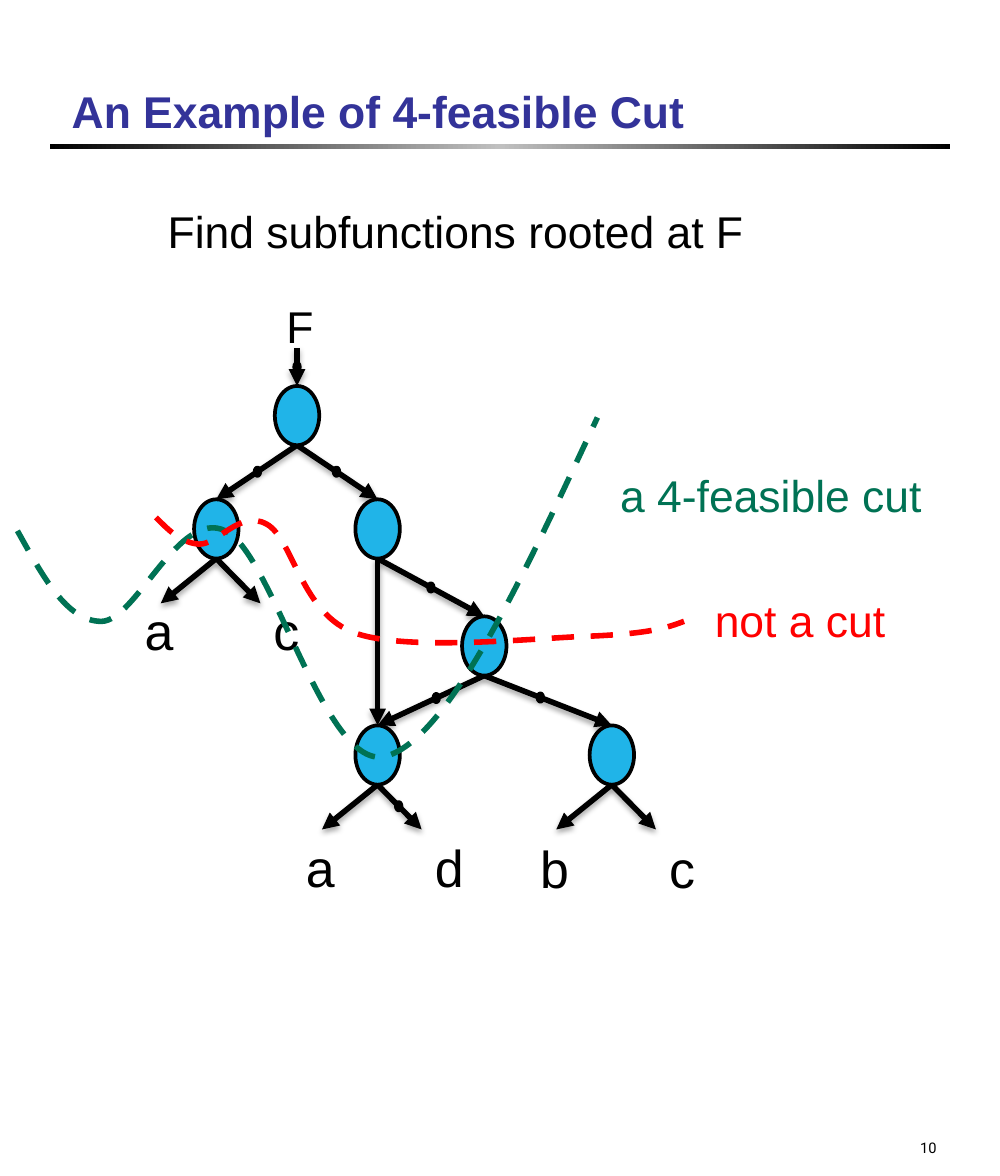
from copy import deepcopy

from lxml import etree
from pptx import Presentation
from pptx.dml.color import RGBColor
from pptx.enum.dml import MSO_LINE
from pptx.enum.shapes import MSO_CONNECTOR, MSO_SHAPE
from pptx.enum.text import MSO_ANCHOR, MSO_AUTO_SIZE, PP_ALIGN
from pptx.oxml import parse_xml
from pptx.oxml.ns import nsdecls, qn
from pptx.util import Pt

DASH = MSO_LINE.DASH
STRAIGHT = MSO_CONNECTOR.STRAIGHT
RECT, OVAL = MSO_SHAPE.RECTANGLE, MSO_SHAPE.OVAL
TOP, BOTTOM = MSO_ANCHOR.TOP, MSO_ANCHOR.BOTTOM
FIXED, GROW = MSO_AUTO_SIZE.NONE, MSO_AUTO_SIZE.SHAPE_TO_FIT_TEXT
LEFT, RIGHT = PP_ALIGN.LEFT, PP_ALIGN.RIGHT

BLACK, BLUE, GREEN, RED = "000000", "20B4E8", "007254", "FF0000"
NODE_W, NODE_H = 24, 32
DOT_W, DOT_H = 3, 4.5
SHADOW = (
    f'<a:effectLst {nsdecls("a")}><a:outerShdw blurRad="{Pt(3.1)}" dist="{Pt(1.8)}" '
    'dir="5400000" rotWithShape="0"><a:srgbClr val="000000"><a:alpha val="35000"/>'
    "</a:srgbClr></a:outerShdw></a:effectLst>"
)


def rgb(value):
    return RGBColor.from_string(value)


def write(sp, text, size=24, color=BLACK, font="Arial", bold=False,
          align=LEFT, anchor=TOP, wrap=True, fit=FIXED):
    tf = sp.text_frame
    tf.word_wrap = wrap
    tf.auto_size = fit
    tf.vertical_anchor = anchor
    tf.margin_left = tf.margin_right = Pt(7.2)
    tf.margin_top = tf.margin_bottom = Pt(3.6)
    p = tf.paragraphs[0]
    p.alignment = align
    r = p.add_run()
    r.text = text
    r.font.size = Pt(size)
    r.font.name = font
    r.font.bold = bold
    r.font.color.rgb = rgb(color)


prs = Presentation()
prs.slide_width, prs.slide_height = Pt(540), Pt(635)
s = prs.slides.add_slide(prs.slide_layouts[5])

rule = s.shapes.add_shape(RECT, Pt(27), Pt(77.8), Pt(486), Pt(2.7))
rule.shadow.inherit = False
rule.line.fill.background()
rule.fill.gradient()
rule.fill.gradient_angle = 0
stops = rule._element.spPr.find(".//" + qn("a:gsLst"))
stops.insert(1, deepcopy(stops[0]))
for stop, position, color in zip(rule.fill.gradient_stops, (0, 0.5, 1),
                                 (BLACK, "C0C0C0", BLACK)):
    stop.position = position
    stop.color.rgb = rgb(color)

title = s.shapes.title
title.left, title.top, title.width, title.height = Pt(31.5), Pt(14.4), Pt(472.3), Pt(63.4)
write(title, "An Example of 4-feasible Cut", color="333399", bold=True, anchor=BOTTOM)

number = s.shapes.add_textbox(Pt(400.3), Pt(585.4), Pt(112.5), Pt(42.5))
write(number, "10", size=7.9, font="Roboto", align=RIGHT, anchor=BOTTOM)

nodes = {
    "root": (160.4, 224.4),
    "left": (116.8, 285.6),
    "right": (203.9, 285.6),
    "inner": (261.5, 348.8),
    "low_left": (203.9, 407.7),
    "low_right": (330.4, 407.7),
}
links = [
    ("root", "left", 0.49),
    ("root", "right", 0.49),
    ("right", "inner", 0.5),
    ("right", "low_left", None),
    ("inner", "low_left", 0.45),
    ("inner", "low_right", 0.44),
]
leaves = [
    ("left", "a", "c", 319.7, None),
    ("low_left", "a", "d", 447.8, 0.48),
    ("low_right", "b", "c", 448.2, None),
]

root_x, root_y = nodes["root"]
root_top = root_y - NODE_H / 2
arrows = [(root_x, root_top - 20.5, root_x, root_top, 0.5)]
for start, end, dot in links:
    (x1, y1), (x2, y2) = nodes[start], nodes[end]
    arrows.append((x1, y1 + NODE_H / 2, x2, y2 - NODE_H / 2, dot))

labels = [
    ("Find subfunctions rooted at F", 83.5, 106.4, 328.3, 24, BLACK),
    ("F", 147.6, 157.7, 29.5, 24, BLACK),
    ("a 4-feasible cut", 327.8, 249.1, 179, 24, GREEN),
    ("not a cut", 378.9, 316.8, 159, 24, RED),
]
for name, first, second, label_y, dot in leaves:
    x, y = nodes[name]
    y += NODE_H / 2
    for text, tip_dx, label_dx, t in ((first, -30, -45.8, None), (second, 23.8, 23.8, dot)):
        arrows.append((x, y, x + tip_dx, y + 24.2, t))
        labels.append((text, x + label_dx, label_y, 15.8, 28, BLACK))

ovals = [(x, y, NODE_W, NODE_H, BLUE) for x, y in nodes.values()]
for x1, y1, x2, y2, dot in arrows:
    cn = s.shapes.add_connector(STRAIGHT, Pt(x1), Pt(y1), Pt(x2), Pt(y2))
    cn.line.color.rgb = rgb(BLACK)
    cn.line.width = Pt(3)
    spPr = cn._element.spPr
    etree.SubElement(spPr.find(qn("a:ln")), qn("a:tailEnd"), type="triangle")
    spPr.append(parse_xml(SHADOW))
    if dot:
        ovals.append((x1 + (x2 - x1) * dot, y1 + (y2 - y1) * dot, DOT_W, DOT_H, BLACK))

for x, y, w, h, color in ovals:
    sp = s.shapes.add_shape(OVAL, Pt(x - w / 2), Pt(y - h / 2), Pt(w), Pt(h))
    sp.shadow.inherit = False
    sp.fill.solid()
    sp.fill.fore_color.rgb = rgb(color)
    sp.line.color.rgb = rgb(BLACK)
    sp.line.width = Pt(2)

for text, x, y, w, size, color in labels:
    tb = s.shapes.add_textbox(Pt(x), Pt(y), Pt(w), Pt(36 if size == 24 else 28.8))
    write(tb, text, size=size, color=color, wrap=False, fit=GROW)

cuts = [
    (GREEN, [(9.4, 286.6), (23, 311), (36, 335.5), (54.7, 335.5),
             (73.4, 335.5), (96.5, 274.3), (121.7, 286.6),
             (147.6, 298.8), (175.7, 418.3), (208.8, 408.2),
             (242.6, 398.2), (282.2, 311.8), (322.6, 225.4)]),
    (RED, [(84.2, 279.4), (90.7, 285.8), (97.2, 293), (107.3, 293.8),
           (117.4, 294.5), (129.6, 275), (144, 283),
           (158.4, 290.9), (162.7, 331.9), (192.2, 342),
           (221.8, 352.1), (291.6, 344.2), (321.1, 343.4),
           (350.6, 342), (360, 339.1), (369.4, 335.5)]),
]
for color, knots in cuts:
    points = [(Pt(x), Pt(y)) for x, y in knots]
    fb = s.shapes.build_freeform(*points[0])
    fb.add_line_segments(points[3::3], close=False)
    sp = fb.convert_to_shape()
    sp.shadow.inherit = False
    sp.fill.background()
    sp.line.color.rgb = rgb(color)
    sp.line.width = Pt(3)
    sp.line.dash_style = DASH
    segments = sp._element.spPr.findall(".//" + qn("a:lnTo"))
    for i, segment in enumerate(segments):
        segment.tag = qn("a:cubicBezTo")
        for j, (x, y) in enumerate(points[3 * i + 1:3 * i + 3]):
            pt = etree.Element(qn("a:pt"), x=str(x - sp.left), y=str(y - sp.top))
            segment.insert(j, pt)

prs.save("out.pptx")
